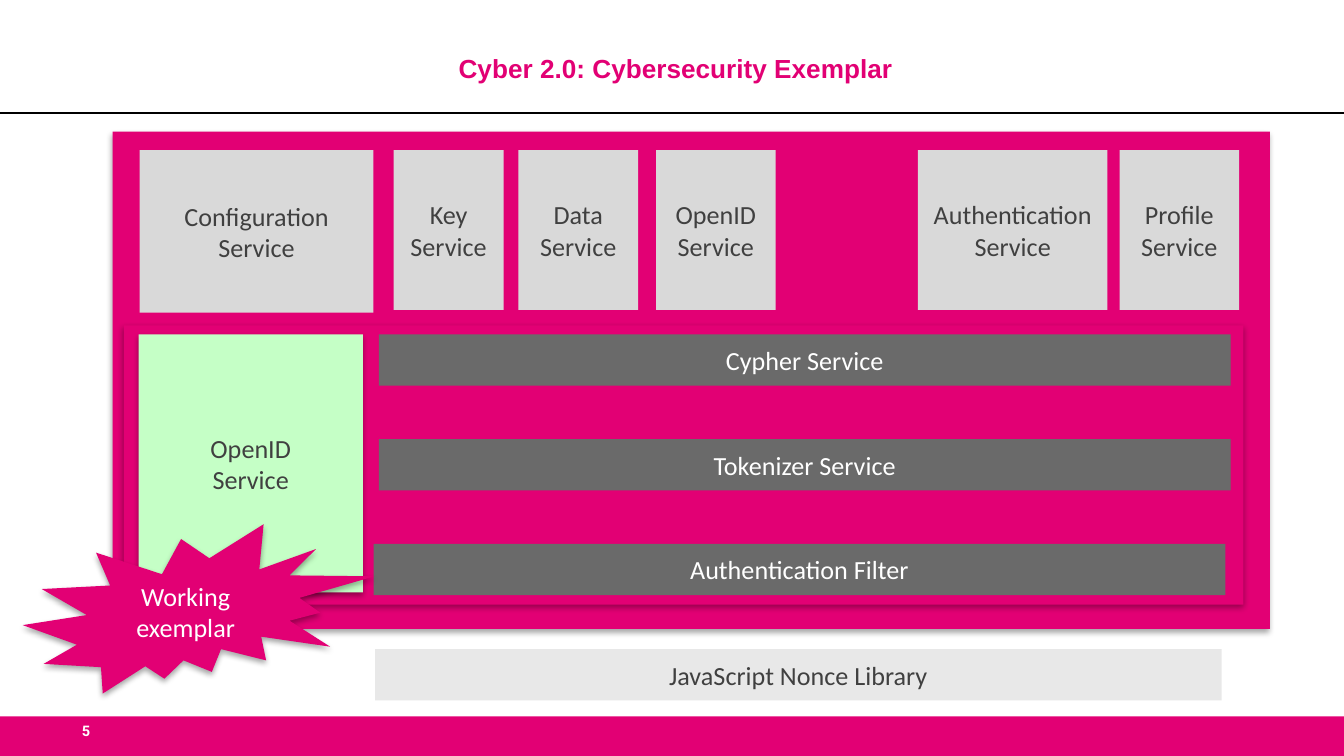
"""Build the Cyber 2.0 cybersecurity exemplar slide."""
import pptx
import pptx.dml.color
import pptx.enum.shapes
import pptx.enum.text
import pptx.oxml
import pptx.oxml.ns
import pptx.util
from lxml import etree

Cm = pptx.util.Cm
Pt = pptx.util.Pt
SHAPES = pptx.enum.shapes.MSO_SHAPE
ALIGN = pptx.enum.text.PP_ALIGN
ANCHOR = pptx.enum.text.MSO_ANCHOR

COLOURS = {
    "magenta": "E20074",
    "white": "FFFFFF",
    "black": "000000",
    "ink": "404040",
    "card": "D9D9D9",
    "bar": "6A6A6A",
    "library": "E8E8E8",
    "green": "C5FFC6",
}
LABEL_FONT = {"name": "Calibri", "size": Pt(14), "bold": False}
TITLE_FONT = {"name": "Arial", "size": Pt(14), "bold": True}
NUMBER_FONT = {"name": "Roboto", "size": Pt(7.8), "bold": True}
TIGHT_MARGINS = {
    "margin_left": Cm(0.2),
    "margin_right": Cm(0.2),
    "margin_top": Cm(0.1),
    "margin_bottom": Cm(0.1),
}

CARD_TOP, CARD_HEIGHT = 2.84, 3.02
CARDS = [
    ("Configuration Service", 2.64, 4.42, 3.07),
    ("Key Service", 7.44, 2.08, CARD_HEIGHT),
    ("Data Service", 9.8, 2.26, CARD_HEIGHT),
    ("OpenID Service", 12.4, 2.26, CARD_HEIGHT),
    ("Authentication Service", 17.35, 3.58, CARD_HEIGHT),
    ("Profile Service", 21.16, 2.26, CARD_HEIGHT),
]
BAR_TOP, BAR_STEP, BAR_WIDTH, BAR_HEIGHT = 6.32, 1.98, 16.1, 0.97
BARS = [
    ("Cypher Service", 7.16),
    ("Tokenizer Service", 7.16),
    ("Authentication Filter", 7.06),
]


def rgb(colour):
    """Return the named colour as an RGB value."""
    return pptx.dml.color.RGBColor.from_string(COLOURS[colour])


def apply_format(target, values):
    """Set every attribute in the dict on the target."""
    for name, value in values.items():
        setattr(target, name, value)


def write_text(box, text, colour, font, align=ALIGN.CENTER, anchor=ANCHOR.MIDDLE):
    """Write one formatted paragraph into a box."""
    frame = box.text_frame
    apply_format(frame, {"word_wrap": True, "vertical_anchor": anchor})
    para = frame.paragraphs[0]
    para.text = text
    para.alignment = align
    for span in para.runs:
        apply_format(span.font, font)
        span.font.color.rgb = rgb(colour)


def cast_shadow(box):
    """Give a box a soft shadow that falls straight down."""
    effects = box.element.spPr.find(pptx.oxml.ns.qn("a:effectLst"))
    effects.append(pptx.oxml.parse_xml(
        f'<a:outerShdw {pptx.oxml.ns.nsdecls("a")} blurRad="{Pt(3.1)}" dist="{Pt(1.8)}" '
        f'dir="5400000" rotWithShape="0"><a:srgbClr val="{COLOURS["black"]}">'
        '<a:alpha val="35000"/></a:srgbClr></a:outerShdw>'))


def add_block(page, place, fill, text="", ink="ink", shadow=False, kind=SHAPES.RECTANGLE):
    """Add a filled shape with an optional label and shadow."""
    box = page.shapes.add_shape(kind, *map(Cm, place))
    box.shadow.inherit = False
    box.fill.solid()
    box.fill.fore_color.rgb = rgb(fill)
    box.line.fill.background()
    if shadow:
        cast_shadow(box)
    if text:
        write_text(box, text, ink, LABEL_FONT)


def add_caption(page, place, text, colour, font, align, anchor):
    """Add a text box with narrow margins."""
    box = page.shapes.add_textbox(*map(Cm, place))
    apply_format(box.text_frame, TIGHT_MARGINS)
    write_text(box, text, colour, font, align, anchor)


def add_rule(page, top, width):
    """Add a thin black rule across the page."""
    rule = page.shapes.add_connector(
        pptx.enum.shapes.MSO_CONNECTOR.STRAIGHT, 0, Cm(top), Cm(width), Cm(top))
    rule.line.color.rgb = rgb("black")
    rule.line.width = Pt(1.25)
    etree.SubElement(rule.element.spPr, pptx.oxml.ns.qn("a:effectLst"))


def main():
    """Build and save the deck."""
    deck = pptx.Presentation()
    apply_format(deck, {"slide_width": Cm(25.4), "slide_height": Cm(14.29)})
    page = deck.slides.add_slide(deck.slide_layouts[6])

    add_block(page, (0, 13.54, 25.4, 0.75), "magenta")
    add_rule(page, 2.13, 25.4)
    add_caption(page, (3.12, 0.53, 19.3, 1.52), "Cyber 2.0: Cybersecurity Exemplar",
                "magenta", TITLE_FONT, ALIGN.CENTER, ANCHOR.MIDDLE)
    add_caption(page, (1.35, 13.54, 2.79, 0.53), "5",
                "white", NUMBER_FONT, ALIGN.LEFT, ANCHOR.TOP)

    add_block(page, (2.13, 2.49, 21.87, 9.4), "magenta", shadow=True)
    add_block(page, (2.34, 6.15, 21.16, 5.28), "magenta", shadow=True)
    for row, (text, left) in enumerate(BARS):
        place = (left, BAR_TOP + row * BAR_STEP, BAR_WIDTH, BAR_HEIGHT)
        add_block(page, place, "bar", text, "white")
    for text, left, width, height in CARDS:
        add_block(page, (left, CARD_TOP, width, height), "card", text)

    add_block(page, (2.62, BAR_TOP, 4.24, 4.88), "green", "OpenID\vService", shadow=True)
    add_block(page, (7.09, 12.27, 16, BAR_HEIGHT), "library", "JavaScript Nonce Library")
    add_block(page, (0.43, 9.91, 6.65, 3.2), "magenta", "Working exemplar", "white",
              shadow=True, kind=SHAPES.EXPLOSION2)
    deck.save("out.pptx")


if __name__ == "__main__":
    main()
